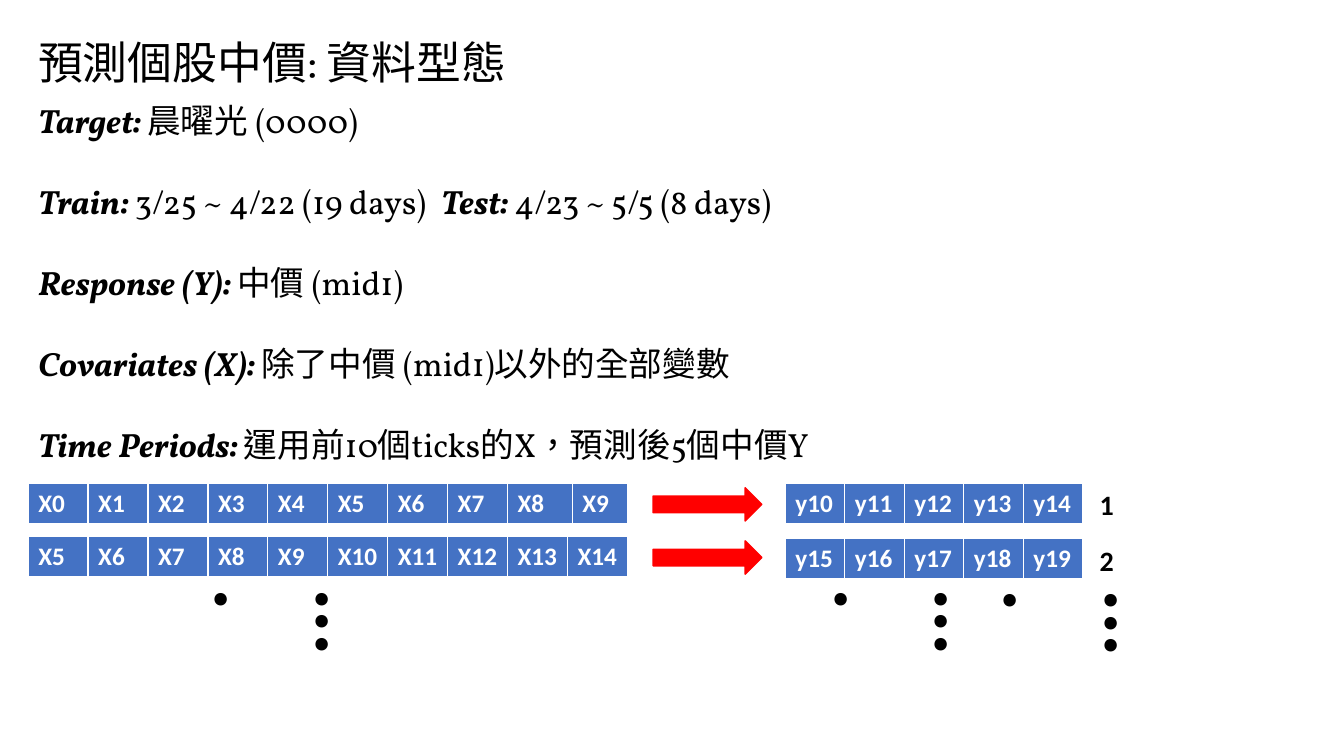
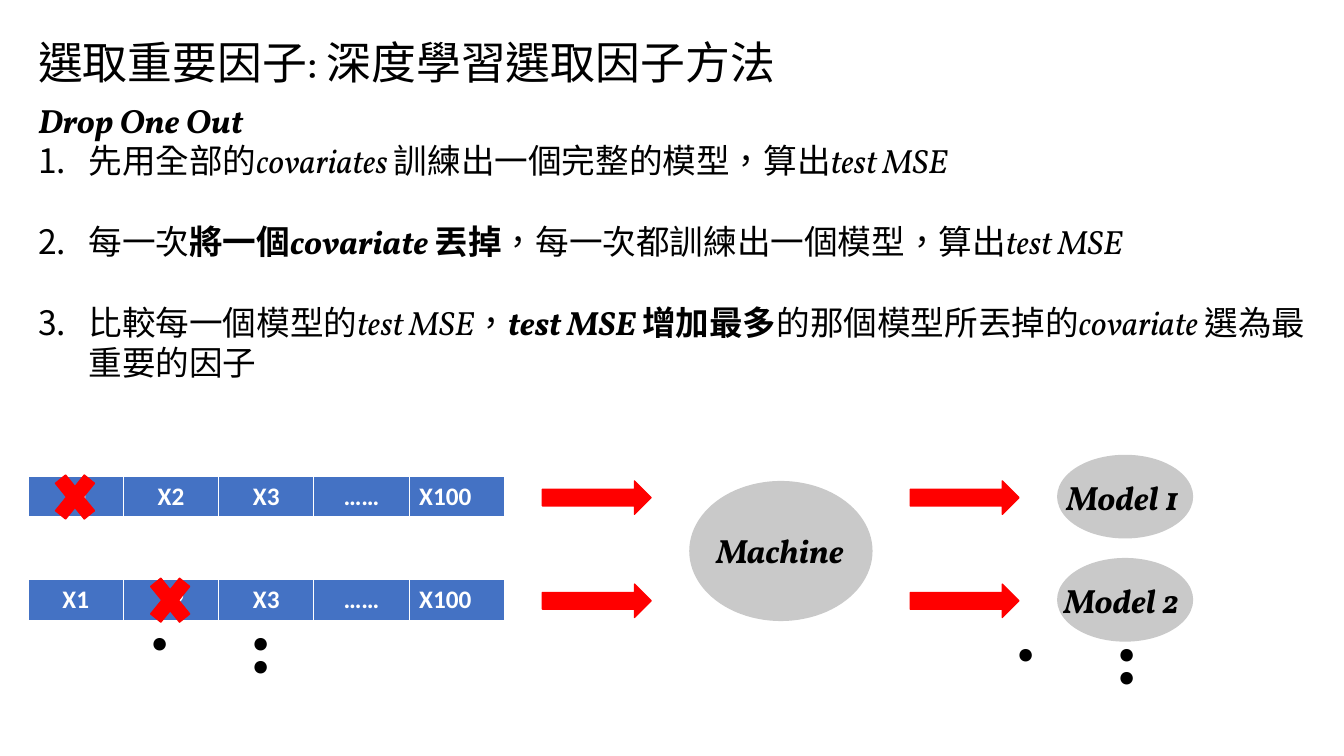
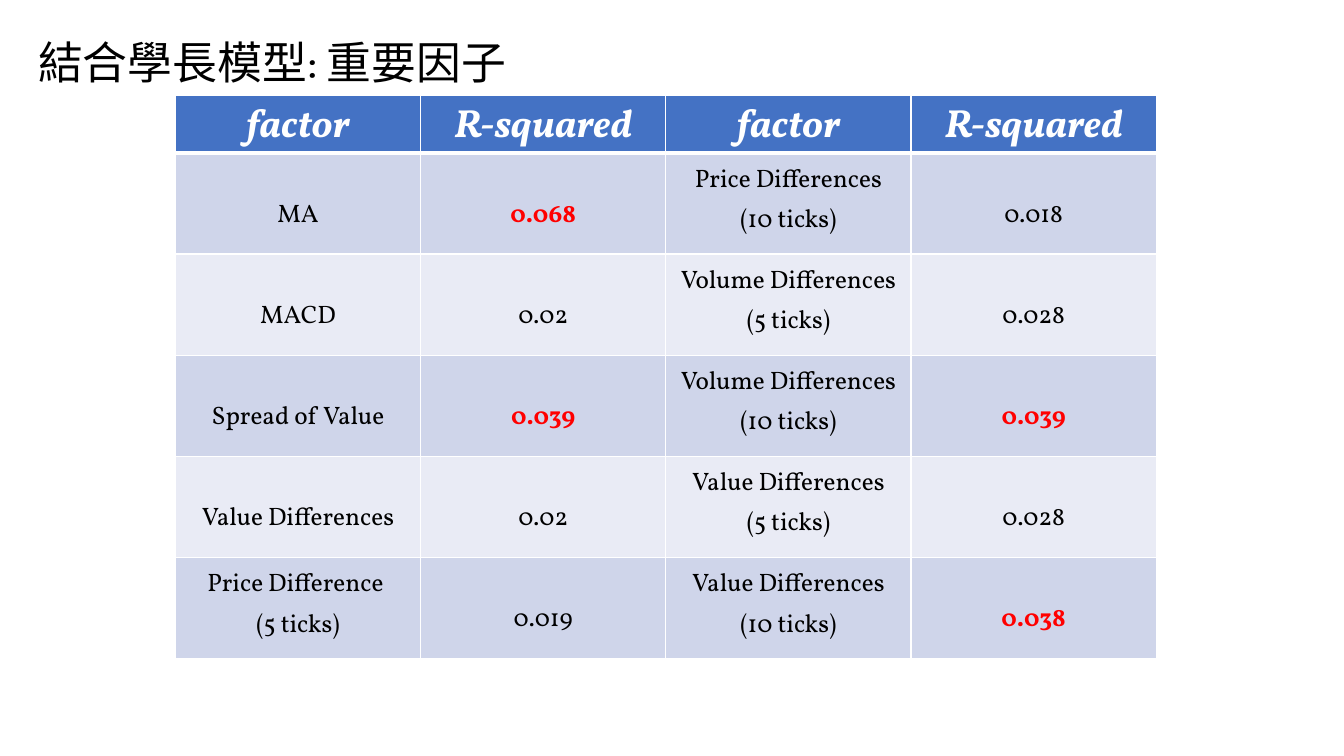
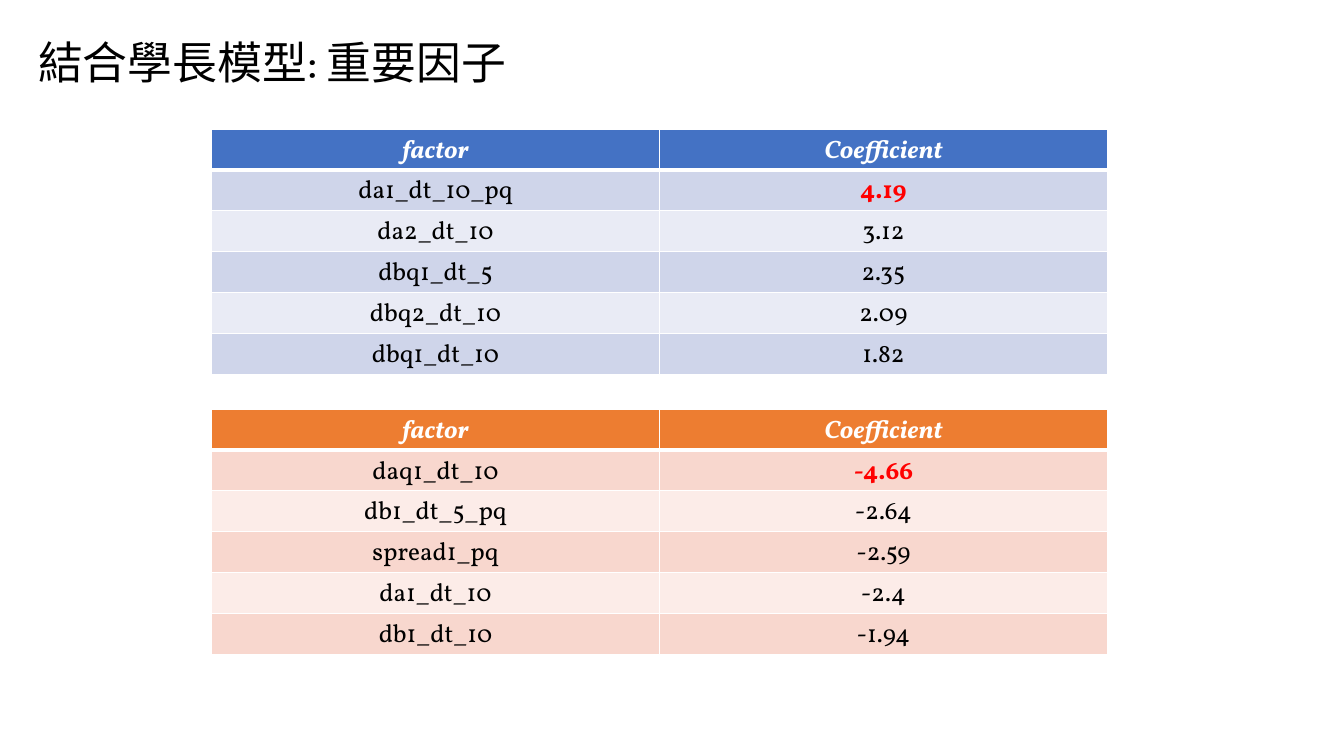
from dataclasses import dataclass

from lxml.etree import SubElement
from pptx import Presentation
from pptx.dml.color import RGBColor
from pptx.enum.lang import MSO_LANGUAGE_ID
from pptx.enum.shapes import MSO_SHAPE
from pptx.enum.text import MSO_AUTO_SIZE, PP_ALIGN
from pptx.oxml.ns import qn
from pptx.util import Cm, Pt


@dataclass(frozen=True)
class Theme:
    black: str = "000000"
    white: str = "FFFFFF"
    red: str = "FF0000"
    gray: str = "C9C9C9"
    blue: tuple = ("4472C4", "CFD5EA", "E9EBF5")
    orange: tuple = ("ED7D31", "F8D7CE", "FCECE8")
    serif: str = "Vollkorn"
    sans: str = "Calibri"
    title_size: int = 32
    body_size: int = 24
    heading_size: int = 28
    table_size: int = 18
    label_size: int = 20
    dots_size: int = 60
    body_gap: int = 29
    margin_left: float = 0.71


THEME = Theme()


class Deck:
    def __init__(self, theme):
        self.theme = theme
        self.presentation = Presentation()
        self.presentation.slide_width = Cm(33.87)
        self.presentation.slide_height = Cm(19.05)
        self.slide = None

    def add_slide(self, title):
        self.slide = self.presentation.slides.add_slide(self.presentation.slide_layouts[6])
        self.add_text(self.theme.margin_left, 0.76, 20.07, 1.62, title, self.theme.title_size)

    def add_run(self, paragraph, text, size, font=None, color=None, style=""):
        run = paragraph.add_run()
        run.text = text
        values = {
            "size": Pt(size),
            "name": font or self.theme.serif,
            "bold": "b" in style,
            "italic": "i" in style,
            "language_id": MSO_LANGUAGE_ID.TRADITIONAL_CHINESE,
        }
        for name, value in values.items():
            setattr(run.font, name, value)
        run.font.color.rgb = RGBColor.from_string(color or self.theme.black)

    def add_frame(self, left, top, width, height):
        box = self.slide.shapes.add_textbox(Cm(left), Cm(top), Cm(width), Cm(height))
        frame = box.text_frame
        frame.word_wrap = True
        frame.auto_size = MSO_AUTO_SIZE.SHAPE_TO_FIT_TEXT
        return frame

    def add_text(self, left, top, width, height, text, size, font=None, style=""):
        frame = self.add_frame(left, top, width, height)
        self.add_run(frame.paragraphs[0], text, size, font, style=style)
        return frame

    def add_dots(self, left, top, height, text):
        frame = self.add_text(left, top, 3.07, height, text, self.theme.dots_size, self.theme.sans, "b")
        frame._txBody.bodyPr.set("vert", "eaVert")

    def add_body(self, width, paragraphs, numbered_from=None):
        frame = self.add_frame(self.theme.margin_left, 2.39, width, 9.5)
        for index, runs in enumerate(paragraphs):
            paragraph = frame.add_paragraph() if index else frame.paragraphs[0]
            if index and index != numbered_from:
                paragraph.space_before = Pt(self.theme.body_gap)
            if numbered_from is not None and index >= numbered_from:
                self.number(paragraph)
            for text, style in runs:
                self.add_run(paragraph, text, self.theme.body_size, style=style)

    def number(self, paragraph):
        properties = paragraph._p.get_or_add_pPr()
        properties.set("marL", str(Cm(1.27)))
        properties.set("indent", str(-Cm(1.27)))
        SubElement(properties, qn("a:buFont"), typeface="+mj-lt")
        SubElement(properties, qn("a:buAutoNum"), type="arabicPeriod")

    def add_shape(self, kind, left, top, width, height, color, outlined=True):
        shape = self.slide.shapes.add_shape(kind, Cm(left), Cm(top), Cm(width), Cm(height))
        shape.shadow.inherit = False
        shape.fill.solid()
        shape.fill.fore_color.rgb = RGBColor.from_string(color)
        if outlined:
            shape.line.color.rgb = RGBColor.from_string(color)
            shape.line.width = Pt(1)
        else:
            shape.line.fill.background()

    def add_arrow(self, left, top):
        self.add_shape(MSO_SHAPE.RIGHT_ARROW, left, top, 2.74, 0.84, self.theme.red)

    def add_cross(self, left, top):
        self.add_shape(MSO_SHAPE.MATH_MULTIPLY, left, top, 1.4, 1.73, self.theme.red)

    def add_ellipse(self, left, top, width, height):
        self.add_shape(MSO_SHAPE.OVAL, left, top, width, height, self.theme.gray, outlined=False)

    def add_grid(self, left, top, widths, heights):
        frame = self.slide.shapes.add_table(
            len(heights), len(widths), Cm(left), Cm(top), Cm(sum(widths)), Cm(sum(heights))
        )
        for column, width in zip(frame.table.columns, widths):
            column.width = Cm(width)
        for row, height in zip(frame.table.rows, heights):
            row.height = Cm(height)
        return frame.table

    def fill_cell(self, cell, text, fill, borders, align, line_spacing=None, **text_format):
        properties = cell._tc.get_or_add_tcPr()
        for side, points in borders.items():
            line = SubElement(properties, qn("a:ln" + side), w=str(Pt(points)))
            solid = SubElement(line, qn("a:solidFill"))
            SubElement(solid, qn("a:srgbClr"), val=self.theme.white)
        cell.fill.solid()
        cell.fill.fore_color.rgb = RGBColor.from_string(fill)
        frame = cell.text_frame
        for index, line_text in enumerate(text.split("\n")):
            paragraph = frame.add_paragraph() if index else frame.paragraphs[0]
            paragraph.alignment = align
            paragraph.line_spacing = line_spacing
            self.add_run(paragraph, line_text, **text_format)

    def add_strip(self, left, top, widths, labels, centered=0):
        table = self.add_grid(left, top, widths, [1.05])
        for index, label in enumerate(labels):
            self.fill_cell(
                table.cell(0, index), label, self.theme.blue[0],
                {"L": 1, "R": 1, "T": 1, "B": 3},
                PP_ALIGN.CENTER if index < centered else PP_ALIGN.LEFT,
                size=self.theme.table_size, font=self.theme.sans,
                color=self.theme.white, style="b",
            )

    def add_table(self, left, top, width, heights, rows, palette, highlights,
                  heading_size, line_spacing=None, single_line_top=None):
        table = self.add_grid(left, top, [width] * len(rows[0]), heights)
        heading, *bands = palette
        for row_index, row in enumerate(rows):
            for column_index, text in enumerate(row):
                cell = table.cell(row_index, column_index)
                if row_index == 0:
                    self.fill_cell(
                        cell, text, heading, {"L": 1, "R": 1, "T": 1, "B": 3}, PP_ALIGN.CENTER,
                        size=heading_size, color=self.theme.white, style="bi",
                    )
                    continue
                strong = text in highlights
                self.fill_cell(
                    cell, text, bands[(row_index - 1) % 2], {"L": 1, "R": 1, "B": 1},
                    PP_ALIGN.CENTER, line_spacing, size=self.theme.table_size,
                    color=self.theme.red if strong else self.theme.black,
                    style="b" if strong else "",
                )
                if single_line_top and "\n" not in text:
                    cell.margin_top = Cm(single_line_top)


def build_data_slide(deck):
    deck.add_slide("預測個股中價: 資料型態")
    deck.add_body(25, [
        [("Target: ", "bi"), ("晨曜光 (0000)", "")],
        [("Train: ", "bi"), ("3/25 ~ 4/22 (19 days)\t", ""),
         ("Test: ", "bi"), ("4/23 ~ 5/5 (8 days)", "")],
        [("Response (Y): ", "bi"), ("中價 (mid1)", "")],
        [("Covariates (X): ", "bi"), ("除了中價 (mid1)以外的全部變數", "")],
        [("Time Periods: ", "bi"), ("運用前10個ticks的X，預測後5個中價Y", "")],
    ])
    windows = [
        (12.17, 12.17, [1.51] * 8 + [1.63, 1.4]),
        (13.51, 13.56, [1.51] * 10),
    ]
    for index, (input_top, output_top, widths) in enumerate(windows):
        start = 5 * index
        deck.add_strip(THEME.margin_left, input_top, widths,
                       [f"X{tick}" for tick in range(start, start + 10)])
        deck.add_arrow(16.46, input_top + 0.12)
        deck.add_strip(19.79, output_top, [1.5] * 5,
                       [f"y{tick}" for tick in range(start + 10, start + 15)])
        deck.add_text(27.46, output_top, 1.09, 1.12, str(index + 1),
                      THEME.label_size, THEME.sans, "b")
    for left, top in [(7.14, 14.58), (22.76, 14.58), (27.03, 14.61)]:
        deck.add_dots(left, top, 2.72, "....")


def build_selection_slide(deck):
    deck.add_slide("選取重要因子: 深度學習選取因子方法")
    deck.add_body(32.5, [
        [("Drop One Out", "bi")],
        [("先用全部的", ""), ("covariates ", "i"),
         ("訓練出一個完整的模型，算出", ""), ("test MSE", "i")],
        [("每一次", ""), ("將一個", "b"), ("covariate ", "bi"), ("丟掉", "b"),
         ("，每一次都訓練出一個模型，算出", ""), ("test MSE", "i")],
        [("比較每一個模型的", ""), ("test MSE", "i"), ("，", ""), ("test MSE ", "bi"),
         ("增加最多", "b"), ("的那個模型所丟掉的", ""), ("covariate", "i"),
         (" 選為最重要的因子", "")],
    ], numbered_from=1)
    deck.add_ellipse(17.37, 12.12, 4.62, 3.53)
    deck.add_text(17.81, 13.23, 3.94, 1.27, "Machine", THEME.body_size, style="bi")
    column_width, row_pitch = 2.4, 2.6
    for index, label_left in enumerate([26.64, 26.57]):
        offset = index * row_pitch
        deck.add_strip(THEME.margin_left, 12.01 + offset, [column_width] * 5,
                       ["X1", "X2", "X3", "……", "X100"], centered=4)
        deck.add_cross(1.19 + index * column_width, 11.66 + offset)
        for left in (13.67, 22.94):
            deck.add_arrow(left, 12.12 + offset)
        deck.add_ellipse(26.64, 11.46 + offset, 3.43, 2.11)
        deck.add_text(label_left, 11.89 + offset, 3.94, 1.27, f"Model {index + 1}",
                      THEME.body_size, style="bi")
    for left, top in [(5.61, 15.72), (27.43, 16)]:
        deck.add_dots(left, top, 2.13, "...")


def build_factor_slide(deck):
    deck.add_slide("結合學長模型: 重要因子")
    rows = [
        ("factor", "R-squared") * 2,
        ("MA", "0.068", "Price Differences\n(10 ticks)", "0.018"),
        ("MACD", "0.02", "Volume Differences\n(5 ticks)", "0.028"),
        ("Spread of Value", "0.039", "Volume Differences\n(10 ticks)", "0.039"),
        ("Value Differences", "0.02", "Value Differences\n(5 ticks)", "0.028"),
        ("Price Difference \n(5 ticks)", "0.019", "Value Differences\n(10 ticks)", "0.038"),
    ]
    deck.add_table(4.42, 2.41, 6.18, [1.41] + [2.55] * 5, rows, THEME.blue,
                   {"0.068", "0.039", "0.038"}, THEME.heading_size,
                   line_spacing=1.15, single_line_top=1.01)


def build_coefficient_slide(deck):
    deck.add_slide("結合學長模型: 重要因子")
    positive = [
        ("da1_dt_10_pq", "4.19"),
        ("da2_dt_10", "3.12"),
        ("dbq1_dt_5", "2.35"),
        ("dbq2_dt_10", "2.09"),
        ("dbq1_dt_10", "1.82"),
    ]
    negative = [
        ("daq1_dt_10", "-4.66"),
        ("db1_dt_5_pq", "-2.64"),
        ("spread1_pq", "-2.59"),
        ("da1_dt_10", "-2.4"),
        ("db1_dt_10", "-1.94"),
    ]
    for top, rows, palette in [(3.25, positive, THEME.blue), (10.31, negative, THEME.orange)]:
        deck.add_table(5.33, top, 11.29, [1.03] * 6, [("factor", "Coefficient")] + rows,
                       palette, {rows[0][1]}, THEME.table_size)


def main():
    deck = Deck(THEME)
    build_data_slide(deck)
    build_selection_slide(deck)
    build_factor_slide(deck)
    build_coefficient_slide(deck)
    deck.presentation.save("out.pptx")


if __name__ == "__main__":
    main()
